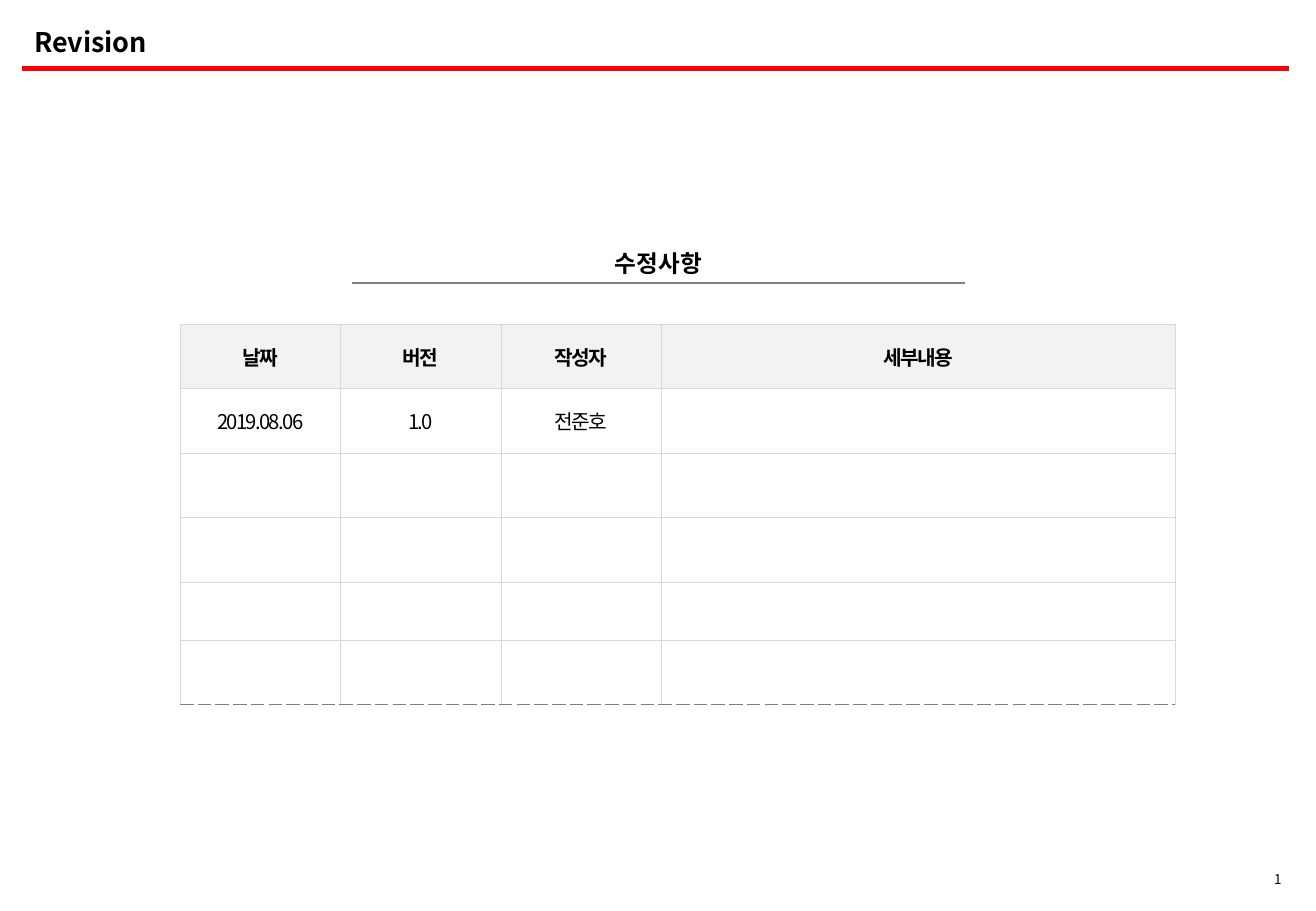
from lxml.etree import SubElement
from pptx import Presentation
from pptx.dml.color import RGBColor
from pptx.enum.shapes import MSO_CONNECTOR
from pptx.enum.text import MSO_ANCHOR, PP_ALIGN
from pptx.oxml.ns import qn
from pptx.util import Pt

COLORS = {"text": "000000", "rule": "FF0000", "gray": "808080",
          "grid": "D9D9D9", "head": "F2F2F2"}
FONT = "Noto Sans CJK KR"
HEADS = ["날짜", "버전", "작성자", "세부내용"]
ENTRY = ["2019.08.06", "1.0", "전준호", ""]
WIDTHS = [95, 95, 95, 304.8]
HEIGHTS = [38.2, 38.2, 38.2, 38.2, 34.4, 38.2]


def color(name):
    return RGBColor.from_string(COLORS[name])


def write(frame, text, size=12, bold=False, align=PP_ALIGN.LEFT, space=0):
    """Set the frame's only paragraph; space is letter spacing in points."""
    para = frame.paragraphs[0]
    para.alignment = align
    run = para.add_run()
    run.text = text
    font = run.font
    font.name, font.size, font.bold = FONT, Pt(size), bold
    font.color.rgb = color("text")
    props = run._r.get_or_add_rPr()
    SubElement(props, qn("a:ea"), typeface=FONT)
    if space:
        props.set("spc", str(int(space * 100)))
    return run


def border(cell, side, name, width, dash="solid"):
    props = cell._tc.get_or_add_tcPr()
    line = SubElement(props, qn("a:ln" + side), w=str(Pt(width)))
    fill = SubElement(line, qn("a:solidFill"))
    SubElement(fill, qn("a:srgbClr"), val=COLORS[name])
    SubElement(line, qn("a:prstDash"), val=dash)


class Page:
    def __init__(self, deck):
        self.slide = deck.slides.add_slide(deck.slide_layouts[5])
        self.shapes = self.slide.shapes

    def title(self, text, left, top, width, height):
        title = self.shapes.title
        title.left, title.top = Pt(left), Pt(top)
        title.width, title.height = Pt(width), Pt(height)
        title.text_frame.vertical_anchor = MSO_ANCHOR.MIDDLE
        write(title.text_frame, text, size=16, bold=True)

    def line(self, left, right, y, name, width):
        line = self.shapes.add_connector(
            MSO_CONNECTOR.STRAIGHT, Pt(left), Pt(y), Pt(right), Pt(y))
        line.line.color.rgb = color(name)
        line.line.width = Pt(width)
        SubElement(line._element.spPr, qn("a:effectLst"))

    def text(self, text, left, top, width, height,
             anchor=MSO_ANCHOR.TOP, wrap=True, **style):
        box = self.shapes.add_textbox(Pt(left), Pt(top), Pt(width), Pt(height))
        frame = box.text_frame
        frame.word_wrap, frame.vertical_anchor = wrap, anchor
        return write(frame, text, **style)

    def number(self, *place):
        """Add the slide number as a field that updates itself."""
        run = self.text("1", *place, anchor=MSO_ANCHOR.BOTTOM,
                        size=8, align=PP_ALIGN.RIGHT)
        field = run._r
        field.tag = qn("a:fld")
        field.set("id", "{B6F15528-21DE-4FAA-801E-634DDDAF4B2B}")
        field.set("type", "slidenum")

    def table(self, rows, left, top):
        table = self.shapes.add_table(
            len(rows), len(WIDTHS), Pt(left), Pt(top),
            Pt(sum(WIDTHS)), Pt(sum(HEIGHTS))).table
        table.first_row = table.horz_banding = False
        for col, width in zip(table.columns, WIDTHS):
            col.width = Pt(width)
        for row, height in zip(table.rows, HEIGHTS):
            row.height = Pt(height)
        for i, row in enumerate(rows):
            for j, text in enumerate(row):
                self.cell(table.cell(i, j), text, i == 0, i == len(rows) - 1)

    def cell(self, cell, text, head, last):
        cell.margin_left = cell.margin_right = Pt(3)
        cell.margin_top = cell.margin_bottom = Pt(3)
        cell.vertical_anchor = MSO_ANCHOR.MIDDLE
        for side in "LRT":
            border(cell, side, "grid", 0.25)
        if last:
            border(cell, "B", "gray", 0.5, "dash")
        else:
            border(cell, "B", "grid", 0.25)
        if head:
            cell.fill.solid()
            cell.fill.fore_color.rgb = color("head")
        else:
            cell.fill.background()
        if text:
            write(cell.text_frame, text, bold=head,
                  align=PP_ALIGN.CENTER, space=-1)


def main():
    deck = Presentation()
    deck.slide_width, deck.slide_height = Pt(780), Pt(540)
    page = Page(deck)
    page.line(13, 764, 40.5, "rule", 3)
    page.title("Revision", 13, 11.5, 728, 26.6)
    page.number(738.7, 512, 28, 17.3)
    blank = [""] * len(HEADS)
    page.table([HEADS, ENTRY] + [blank] * 4, 106.8, 192.2)
    page.line(208.8, 571.7, 167.8, "gray", 1)
    page.text("수정사항", 208.8, 144, 362.9, 23, wrap=False,
              size=14, bold=True, align=PP_ALIGN.CENTER)
    deck.save("out.pptx")


if __name__ == "__main__":
    main()
